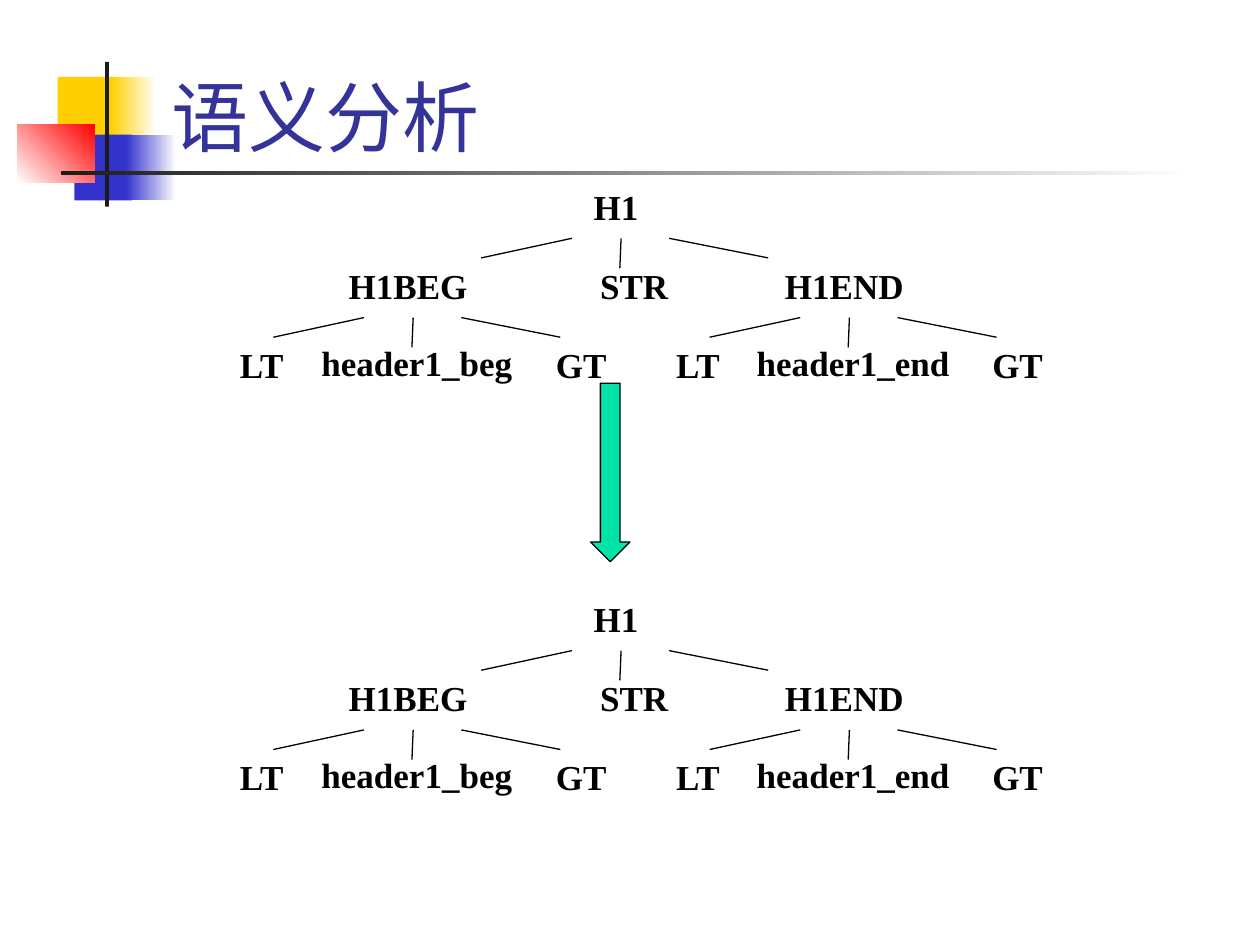
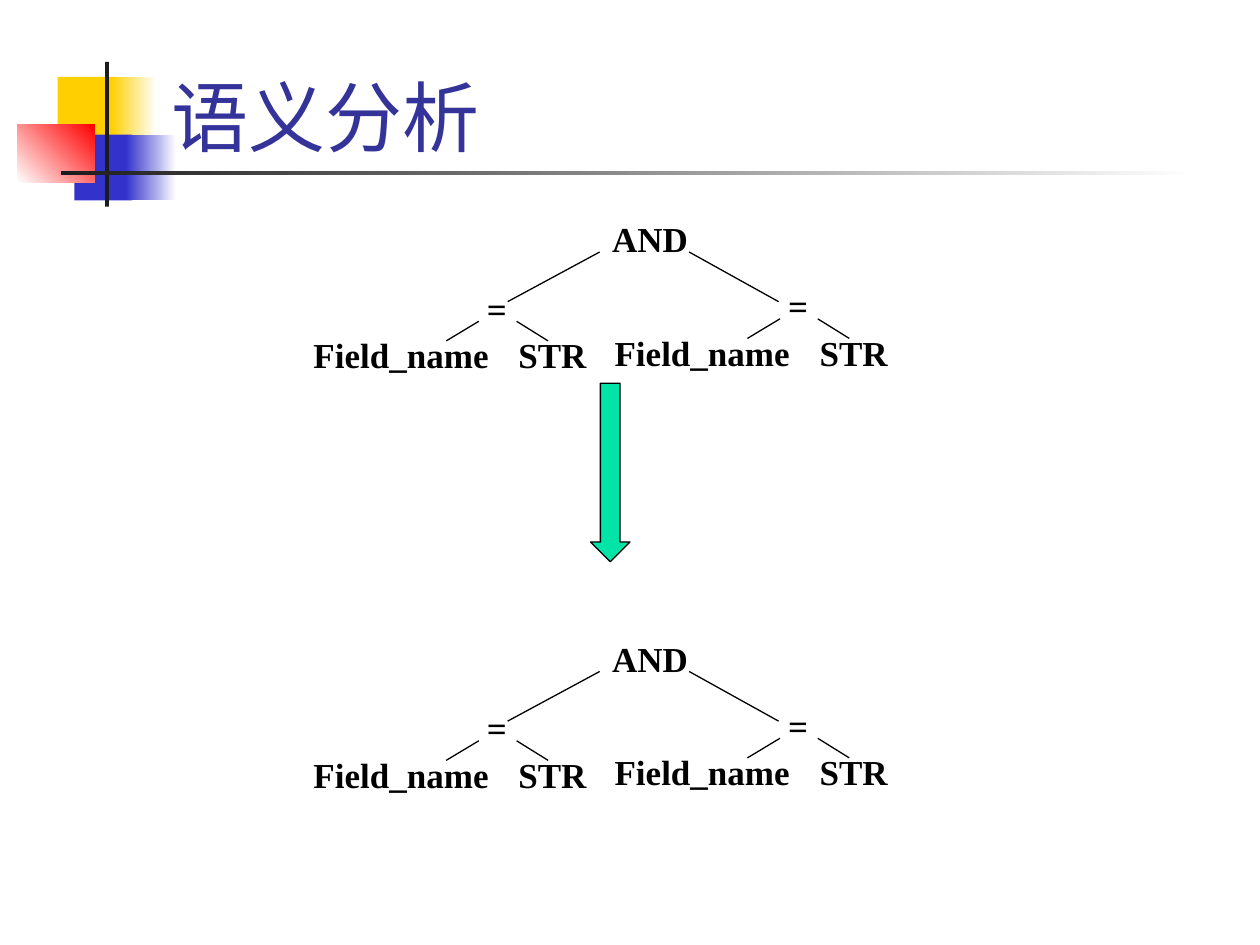
from dataclasses import dataclass

from lxml import etree
from pptx import Presentation
from pptx.dml.color import RGBColor
from pptx.enum import shapes, text
from pptx.oxml.ns import qn
from pptx.util import Pt


@dataclass(frozen=True)
class Theme:
    font: str = "Times New Roman"
    title_size: float = 44
    node_size: float = 20
    node_gap: float = 12.5
    line_width: float = 0.75
    title: RGBColor = RGBColor(0x33, 0x33, 0x99)
    ink: RGBColor = RGBColor(0, 0, 0)
    arrow: RGBColor = RGBColor(0x00, 0xE4, 0xA8)
    yellow: RGBColor = RGBColor(0xFF, 0xCF, 0x01)
    blue: RGBColor = RGBColor(0x33, 0x33, 0xCC)
    red: RGBColor = RGBColor(0xFF, 0, 0)
    bar: RGBColor = RGBColor(0x1C, 0x1C, 0x1C)
    white: RGBColor = RGBColor(0xFF, 0xFF, 0xFF)


@dataclass(frozen=True)
class Node:
    label: str
    width: float
    dx: float = 0
    dy: float = 0
    branches: tuple = ()
    children: tuple = ()


T = Theme()
NODE_HEIGHT = 31.5

# Each branch runs from (x1, y1) to (x2, y2), measured from the node's top centre.
TAG_BRANCHES = ((-25.2, 34, -77, 45.2), (2.9, 34, 2.2, 51), (30.4, 34, 87, 45.2))
AND_BRANCHES = ((-28.8, 23, -81.4, 51.4), (22.3, 23, 73.4, 51.4))
EQUAL_BRANCHES = ((-10.4, 23, -29, 34.2), (11.2, 23, 29.2, 34.2))


def add_block(s, x, y, w, h, color, fade_to=None, angle=0):
    sp = s.shapes.add_shape(shapes.MSO_SHAPE.RECTANGLE, Pt(x), Pt(y), Pt(w), Pt(h))
    sp.shadow.inherit = False
    sp.line.fill.background()
    if fade_to is None:
        sp.fill.solid()
        sp.fill.fore_color.rgb = color
        return
    sp.fill.gradient()
    sp.fill.gradient_angle = angle
    for stop, rgb, position in zip(sp.fill.gradient_stops, (color, fade_to), (0, 1)):
        stop.color.rgb = rgb
        stop.position = position


def add_text(parent, x, y, w, h, label, size, color, bold=False):
    tb = parent.shapes.add_textbox(Pt(x), Pt(y), Pt(w), Pt(h))
    tf = tb.text_frame
    tf.word_wrap = True
    p = tf.paragraphs[0]
    p.text = label
    p.font.name = T.font
    p.font.size = Pt(size)
    p.font.bold = bold
    p.font.color.rgb = color
    return tf


def add_title(s, title):
    tf = add_text(s, 90.7, 5.8, 613.4, 90, title, T.title_size, T.title)
    tf.vertical_anchor = text.MSO_ANCHOR.BOTTOM


def add_node(group, label, cx, top, width):
    tf = add_text(group, cx - width / 2, top, width, NODE_HEIGHT,
                  label, T.node_size, T.ink, bold=True)
    tf.auto_size = text.MSO_AUTO_SIZE.SHAPE_TO_FIT_TEXT
    p = tf.paragraphs[0]
    p.alignment = text.PP_ALIGN.CENTER
    p.space_before = Pt(T.node_gap)


def add_branch(group, x1, y1, x2, y2):
    c = group.shapes.add_connector(
        shapes.MSO_CONNECTOR.STRAIGHT, Pt(x1), Pt(y1), Pt(x2), Pt(y2))
    c.line.color.rgb = T.ink
    c.line.width = Pt(T.line_width)
    etree.SubElement(c._element.spPr, qn("a:effectLst"))


def add_tree(group, node, cx, top):
    cx, top = cx + node.dx, top + node.dy
    add_node(group, node.label, cx, top, node.width)
    for x1, y1, x2, y2 in node.branches:
        add_branch(group, cx + x1, top + y1, cx + x2, top + y2)
    for child in node.children:
        add_tree(group, child, cx, top)


def add_down_arrow(s):
    sp = s.shapes.add_shape(
        shapes.MSO_SHAPE.DOWN_ARROW, Pt(337.5), Pt(219), Pt(22.5), Pt(102))
    sp.shadow.inherit = False
    sp.fill.solid()
    sp.fill.fore_color.rgb = T.arrow
    sp.line.color.rgb = T.ink
    sp.line.width = Pt(T.line_width)


def add_decoration(s):
    add_block(s, 33, 44, 34.5, 37.5, T.yellow)
    add_block(s, 63.4, 44, 26, 37.5, T.yellow, T.white)
    add_block(s, 42.5, 77, 33, 37.5, T.blue)
    add_block(s, 72, 77, 28.8, 37.5, T.blue, T.white)
    add_block(s, 10, 71, 44, 33.5, T.white, T.red, angle=45)
    add_block(s, 60, 35.3, 2.3, 82.8, T.bar)
    add_block(s, 34.6, 97.8, 648, 2.3, T.bar, T.white)


def add_tree_slide(prs, title, tree, cx, tops):
    s = prs.slides.add_slide(prs.slide_layouts[6])
    add_decoration(s)
    add_title(s, title)
    add_down_arrow(s)
    for top in tops:
        add_tree(s.shapes.add_group_shape(), tree, cx, top)


def tag_node(label, header, dx):
    return Node(label, 109.4, dx, 45.3, TAG_BRANCHES, (
        Node("LT", 44, -83.6, 45.3),
        Node(header, 130.3, 5, 43.9),
        Node("GT", 44, 99, 45.3),
    ))


def equal_node(dx, dy):
    return Node("=", 48.2, dx, dy, EQUAL_BRANCHES, (
        Node("Field_name", 123.8, -54.8, 26.6),
        Node("STR", 61.2, 31.7, 26.6),
    ))


def main():
    prs = Presentation()
    prs.slide_width, prs.slide_height = Pt(720), Pt(540)

    heading = Node("H1", 109.4, branches=TAG_BRANCHES, children=(
        tag_node("H1BEG", "header1_beg", -118.8),
        Node("STR", 130.3, 10.4, 45.3),
        tag_node("H1END", "header1_end", 130.5),
    ))
    condition = Node("AND", 67.7, branches=AND_BRANCHES, children=(
        equal_node(-87.5, 39.6),
        equal_node(84.6, 38.2),
    ))

    add_tree_slide(prs, "语义分析", heading, 352, (102.2, 337.8))
    add_tree_slide(prs, "语义分析", condition, 371.5, (121, 360.7))
    prs.save("out.pptx")


if __name__ == "__main__":
    main()
